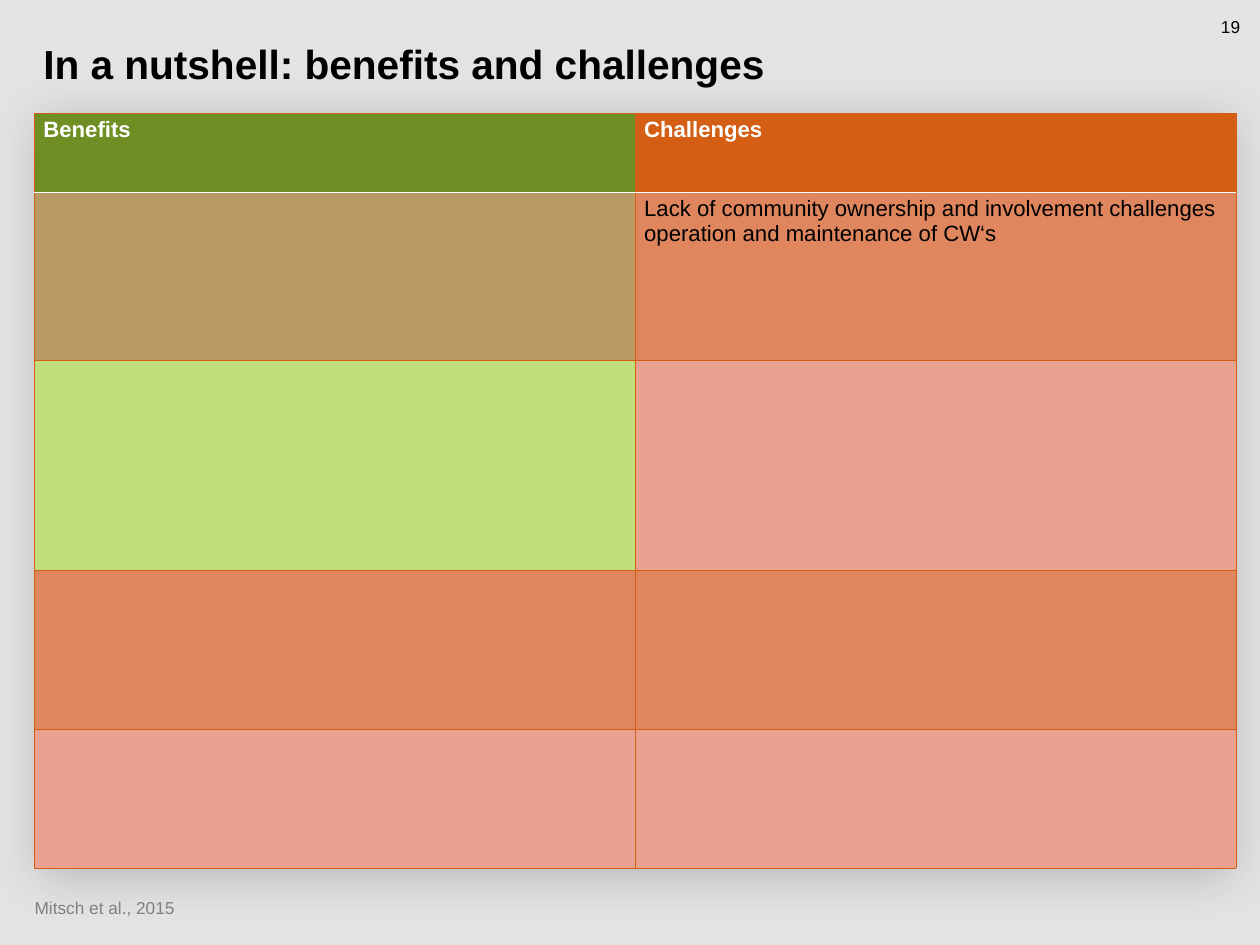
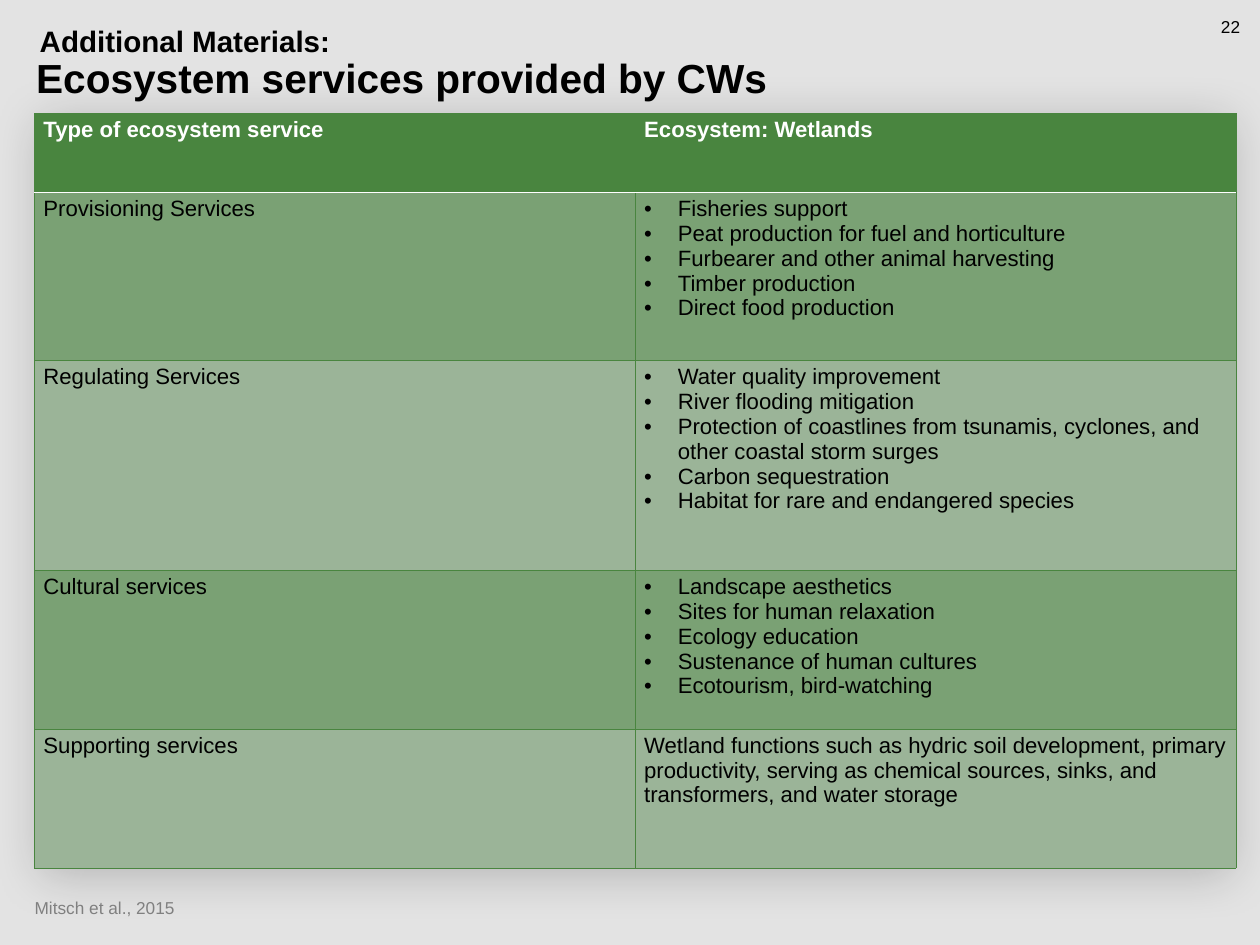
from dataclasses import dataclass

from lxml.etree import SubElement
from pptx import Presentation
from pptx.dml.color import RGBColor
from pptx.enum.shapes import MSO_SHAPE
from pptx.enum.text import MSO_ANCHOR
from pptx.oxml.ns import qn
from pptx.util import Emu, Pt

PX = 9144  # 100 px to the inch


@dataclass(frozen=True)
class Theme:
    font: str = "Arial"
    background: str = "E3E3E3"
    white: str = "FFFFFF"
    black: str = "000000"
    grey: str = "808080"
    green: str = "49853F"
    green_mid: str = "7AA174"
    green_pale: str = "9BB498"
    orange: str = "D35E14"
    orange_mid: str = "DF865E"
    pink: str = "E9A290"
    olive: str = "6F8F24"
    khaki: str = "B89A64"
    lime: str = "C1DE7D"
    title_size: int = 33
    kicker_size: int = 24
    table_size: int = 18
    small_size: int = 14


@dataclass(frozen=True)
class Area:
    left: int
    top: int
    width: int
    height: int

    def emu(self) -> list[Emu]:
        return [Emu(n * PX) for n in (self.left, self.top, self.width, self.height)]


@dataclass(frozen=True)
class Entry:
    fill: str
    text: str = ""
    bulleted: bool = False


@dataclass(frozen=True)
class Page:
    number: str
    title: str
    title_area: Area
    accent: str
    rows: list[tuple[Entry, Entry]]
    kicker: str = ""


THEME = Theme()
SLIDE_WIDTH, SLIDE_HEIGHT = 1422, 1067
PANEL = Area(39, 130, 1345, 851)
TABLE = Area(39, 128, 1356, 852)
ROW_HEIGHTS = (89, 190, 237, 179, 157)
KICKER = Area(35, 21, 1227, 56)
SOURCE = Area(39, 981, 1299, 56)
NUMBER = Area(1378, 18, 42, 31)
BULLET_INDENT = 38


def write_text(frame, text: str, *, size: int, color: str = THEME.black,
               bold: bool = False, bulleted: bool = False,
               line_spacing: float | None = None) -> None:
    """Fill a text frame, one paragraph for each line of text."""
    for index, line in enumerate(text.split("\n")):
        para = frame.paragraphs[0] if index == 0 else frame.add_paragraph()
        if bulleted:
            properties = para._p.get_or_add_pPr()
            properties.set("marL", str(BULLET_INDENT * PX))
            properties.set("indent", str(-BULLET_INDENT * PX))
            SubElement(properties, qn("a:buFont"), typeface=THEME.font)
            SubElement(properties, qn("a:buChar"), char="•")
        if line_spacing:
            para.line_spacing = line_spacing
        span = para.add_run()
        span.text = line
        span.font.name = THEME.font
        span.font.size = Pt(size)
        span.font.bold = bold
        span.font.color.rgb = RGBColor.from_string(color)


def add_text(slide, area: Area, text: str, *, inset: bool = True,
             anchor: MSO_ANCHOR = MSO_ANCHOR.TOP, **text_format) -> None:
    frame = slide.shapes.add_textbox(*area.emu()).text_frame
    frame.word_wrap = True
    frame.vertical_anchor = anchor
    if not inset:
        frame.margin_left = frame.margin_right = 0
        frame.margin_top = frame.margin_bottom = 0
    write_text(frame, text, **text_format)


def add_panel(slide) -> None:
    """White panel with a soft shadow, behind the table."""
    panel = slide.shapes.add_shape(MSO_SHAPE.RECTANGLE, *PANEL.emu())
    panel.fill.solid()
    panel.fill.fore_color.rgb = RGBColor.from_string(THEME.white)
    panel.line.fill.background()
    panel.shadow.inherit = False
    effects = panel._element.spPr.find(qn("a:effectLst"))
    shadow = SubElement(effects, qn("a:outerShdw"), blurRad=str(Pt(40)),
                        dist=str(Pt(7)), dir=str(45 * 60000), rotWithShape="0")
    color = SubElement(shadow, qn("a:srgbClr"), val=THEME.black)
    SubElement(color, qn("a:alpha"), val="20000")


def set_border(cell, side: str, color: str, width: float) -> None:
    line = SubElement(cell._tc.get_or_add_tcPr(), qn(f"a:ln{side}"), w=str(Pt(width)))
    fill = SubElement(line, qn("a:solidFill"))
    SubElement(fill, qn("a:srgbClr"), val=color)


def add_service_table(slide, page: Page) -> None:
    table = slide.shapes.add_table(len(page.rows), 2, *TABLE.emu()).table
    table.first_row = table.horz_banding = False
    for column in table.columns:
        column.width = Emu(TABLE.width // 2 * PX)
    for row_index, (height, entries) in enumerate(zip(ROW_HEIGHTS, page.rows)):
        table.rows[row_index].height = Emu(height * PX)
        header = row_index == 0
        for column_index, entry in enumerate(entries):
            cell = table.cell(row_index, column_index)
            # Borders come before the fill; a white rule closes the header
            for side in "LRTB":
                rule = (row_index, side) in ((0, "B"), (1, "T"))
                set_border(cell, side, THEME.white if rule else page.accent,
                           1 if rule else 0.5)
            cell.fill.solid()
            cell.fill.fore_color.rgb = RGBColor.from_string(entry.fill)
            if entry.text:
                write_text(cell.text_frame, entry.text, size=THEME.table_size,
                           color=THEME.white if header else THEME.black,
                           bold=header, bulleted=entry.bulleted)


def add_page(deck, page: Page) -> None:
    slide = deck.slides.add_slide(deck.slide_layouts[6])
    add_panel(slide)
    add_text(slide, page.title_area, page.title, size=THEME.title_size, bold=True)
    add_text(slide, SOURCE, "Mitsch et al., 2015", size=THEME.small_size,
             color=THEME.grey, inset=False, anchor=MSO_ANCHOR.BOTTOM, line_spacing=0.9)
    add_text(slide, NUMBER, page.number, size=THEME.small_size, inset=False)
    add_service_table(slide, page)
    if page.kicker:
        add_text(slide, KICKER, page.kicker, size=THEME.kicker_size, bold=True)


PAGES = [
    Page(
        number="19",
        title="In a nutshell: benefits and challenges",
        title_area=Area(39, 39, 1227, 56),
        accent=THEME.orange,
        rows=[
            (Entry(THEME.olive, "Benefits"), Entry(THEME.orange, "Challenges")),
            (Entry(THEME.khaki),
             Entry(THEME.orange_mid, "Lack of community ownership and involvement "
                   "challenges operation and maintenance of CW‘s")),
            (Entry(THEME.lime), Entry(THEME.pink)),
            (Entry(THEME.orange_mid), Entry(THEME.orange_mid)),
            (Entry(THEME.pink), Entry(THEME.pink)),
        ],
    ),
    Page(
        number="22",
        title="Ecosystem services provided by CWs",
        title_area=Area(31, 55, 1227, 56),
        accent=THEME.green,
        kicker="Additional Materials:",
        rows=[
            (Entry(THEME.green, "Type of ecosystem service"),
             Entry(THEME.green, "Ecosystem: Wetlands")),
            (Entry(THEME.green_mid, "Provisioning Services"),
             Entry(THEME.green_mid, "Fisheries support\n"
                   "Peat production for fuel and horticulture\n"
                   "Furbearer and other animal harvesting\n"
                   "Timber production\n"
                   "Direct food production", bulleted=True)),
            (Entry(THEME.green_pale, "Regulating Services"),
             Entry(THEME.green_pale, "Water quality improvement\n"
                   "River flooding mitigation\n"
                   "Protection of coastlines from tsunamis, cyclones, and "
                   "other coastal storm surges\n"
                   "Carbon sequestration\n"
                   "Habitat for rare and endangered species", bulleted=True)),
            (Entry(THEME.green_mid, "Cultural services"),
             Entry(THEME.green_mid, "Landscape aesthetics\n"
                   "Sites for human relaxation\n"
                   "Ecology education\n"
                   "Sustenance of human cultures\n"
                   "Ecotourism, bird-watching", bulleted=True)),
            (Entry(THEME.green_pale, "Supporting services"),
             Entry(THEME.green_pale, "Wetland functions such as hydric soil "
                   "development, primary productivity, serving as chemical "
                   "sources, sinks, and transformers, and water storage")),
        ],
    ),
]


def main() -> None:
    deck = Presentation()
    deck.slide_width = Emu(SLIDE_WIDTH * PX)
    deck.slide_height = Emu(SLIDE_HEIGHT * PX)
    # Shared background
    background = deck.slide_master.background.fill
    background.solid()
    background.fore_color.rgb = RGBColor.from_string(THEME.background)
    for page in PAGES:
        add_page(deck, page)
    deck.save("out.pptx")


if __name__ == "__main__":
    main()
